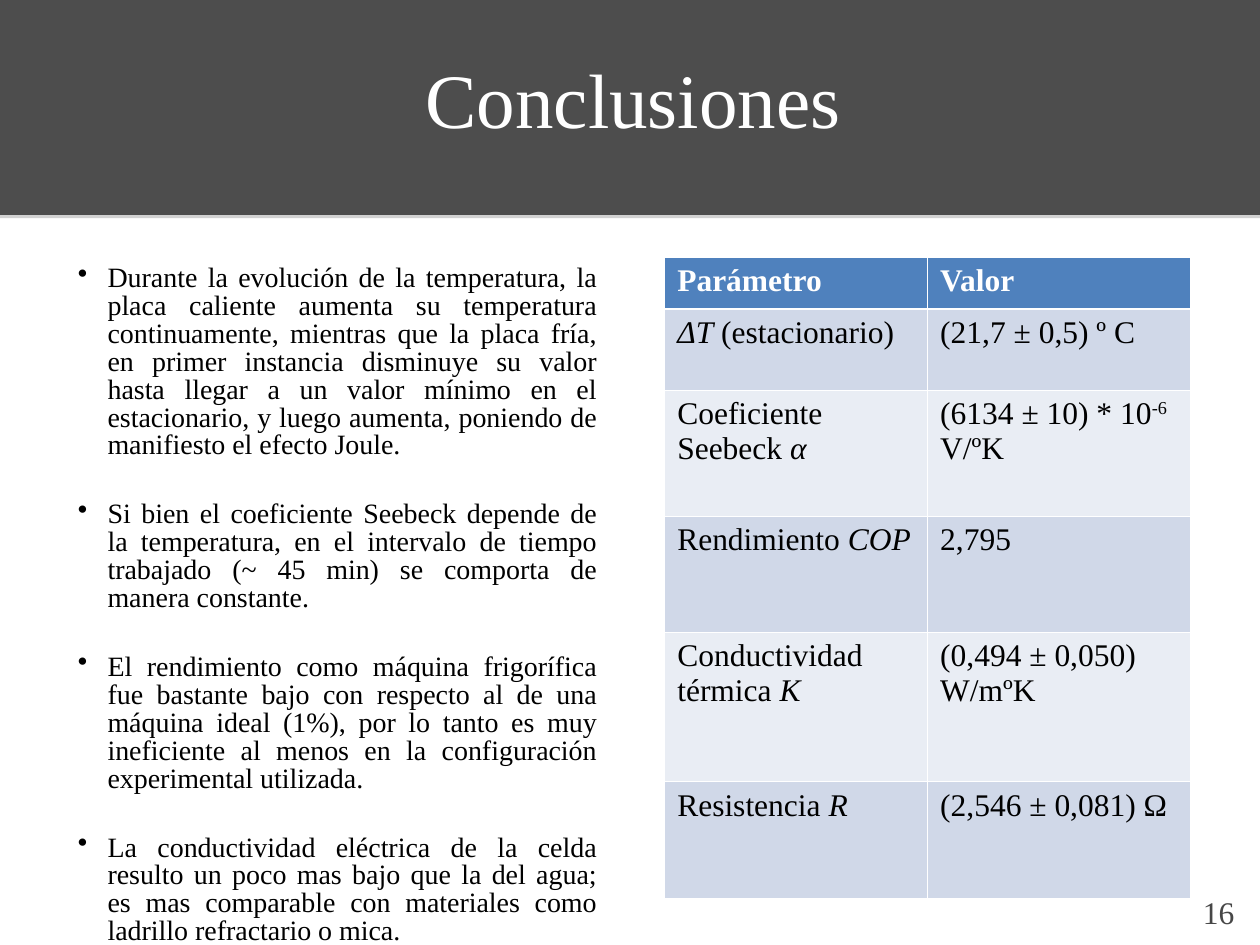
from lxml.etree import SubElement
from pptx import Presentation
from pptx.dml.color import RGBColor
from pptx.enum.shapes import MSO_SHAPE
from pptx.enum.text import MSO_ANCHOR, PP_ALIGN
from pptx.oxml.ns import qn
from pptx.util import Cm, Pt

FONT = "Times New Roman"
BULLETS = [
    "Durante la evolución de la temperatura, la placa caliente aumenta su temperatura continuamente, "
    "mientras que la placa fría, en primer instancia disminuye su valor hasta llegar a un valor mínimo "
    "en el estacionario, y luego aumenta, poniendo de manifiesto el efecto Joule.",
    "Si bien el coeficiente Seebeck depende de la temperatura, en el intervalo de tiempo trabajado "
    "(~ 45 min) se comporta de manera constante.",
    "El rendimiento como máquina frigorífica fue bastante bajo con respecto al de una máquina ideal (1%), "
    "por lo tanto es muy ineficiente al menos en la configuración experimental utilizada.",
    "La conductividad eléctrica de la celda resulto un poco mas bajo que la del agua; "
    "es mas comparable con materiales como ladrillo refractario o mica.",
]
ROWS = [
    (1.04, [("Parámetro", "")], [("Valor", "")]),
    (1.63, [("ΔT", "italic"), (" (estacionario)", "")], [("(21,7 ± 0,5) º C", "")]),
    (2.54, [("Coeficiente Seebeck ", ""), ("α", "italic")],
     [("(6134 ± 10) * 10", ""), ("-6 ", "super"), ("V/ºK", "")]),
    (2.34, [("Rendimiento ", ""), ("COP", "italic")], [("2,795", "")]),
    (3.02, [("Conductividad térmica ", ""), ("K", "italic")], [("(0,494 ± 0,050) W/mºK", "")]),
    (2.34, [("Resistencia ", ""), ("R", "italic")], [("(2,546 ± 0,081) Ω", "")]),
]
COLUMN_WIDTH = 5.3
HEADER_FILL, BAND_FILLS = "4F81BD", ("E9EDF4", "D0D8E8")


def color(value):
    """Turn a hex string into a colour."""
    return RGBColor.from_string(value)


def style(para, size, value, bold=False):
    """Set the font of a whole paragraph."""
    font = para.font
    font.name, font.size, font.bold = FONT, Pt(size), bold
    font.color.rgb = color(value)


def add_band(page):
    """Draw the dark title band with its thin shadow behind everything."""
    band = page.shapes.add_shape(MSO_SHAPE.RECTANGLE, 0, 0, Cm(25.4), Cm(4.32))
    band.fill.solid()
    band.fill.fore_color.rgb = color("4D4D4D")
    band.line.color.rgb = color("4D4D4D")
    band.line.width = Pt(0.75)
    band.shadow.inherit = False
    effects = band._element.spPr.find(qn("a:effectLst"))
    shadow = SubElement(effects, qn("a:outerShdw"), dist=str(Pt(1.8)), dir="5400000", rotWithShape="0")
    tint = SubElement(shadow, qn("a:srgbClr"), val="808080")
    SubElement(tint, qn("a:alpha"), val="35000")
    page.shapes._spTree.insert(2, band._element)


def add_title(page):
    """Place the title over the band."""
    title = page.shapes.title
    title.left, title.top, title.width, title.height = Cm(2.49), Cm(0.91), Cm(20.55), Cm(2.13)
    title.text_frame.text = "Conclusiones"
    title.text_frame.vertical_anchor = MSO_ANCHOR.TOP
    para = title.text_frame.paragraphs[0]
    para.alignment = PP_ALIGN.CENTER
    style(para, 44, "FFFFFF")


def add_bullets(page):
    """Write the justified conclusions on the left."""
    frame = page.shapes.add_textbox(Cm(1.32), Cm(4.39), Cm(10.97), Cm(14.53)).text_frame
    frame.word_wrap = True
    frame.margin_top = Cm(0.96)
    for index, text in enumerate(BULLETS):
        para = frame.add_paragraph() if index else frame.paragraphs[0]
        para.text = text
        para.alignment = PP_ALIGN.JUSTIFY
        para.line_spacing = 0.83
        para.space_before = Pt(23.5 if index else 0)
        style(para, 16, "000000")
        properties = para._p.get_or_add_pPr()
        properties.set("marL", str(Cm(0.6)))
        properties.set("indent", str(Cm(-0.6)))
        bullet = properties.makeelement(qn("a:buChar"), {"char": "•"})
        properties.insert_element_before(bullet, "a:tabLst", "a:defRPr", "a:extLst")


def add_borders(cell, widths):
    """Draw white borders round a cell, widths by side."""
    for side, width in widths.items():
        line = SubElement(cell._tc.get_or_add_tcPr(), qn(f"a:ln{side}"), w=str(Pt(width)))
        fill = SubElement(line, qn("a:solidFill"))
        SubElement(fill, qn("a:srgbClr"), val="FFFFFF")


def add_results(page):
    """Build the table of measured parameters."""
    height = sum(row[0] for row in ROWS)
    table = page.shapes.add_table(len(ROWS), 2, Cm(13.4), Cm(5.19), Cm(2 * COLUMN_WIDTH), Cm(height)).table
    table.first_row = table.horz_banding = False
    for index, (row_height, *cells) in enumerate(ROWS):
        table.rows[index].height = Cm(row_height)
        header = index == 0
        for column, runs in enumerate(cells):
            cell = table.cell(index, column)
            add_borders(cell, {"L": 0.45, "R": 0.45, "T": 1.47 if index == 1 else 0.45,
                               "B": 1.47 if header else 0.45})
            cell.fill.solid()
            cell.fill.fore_color.rgb = color(HEADER_FILL if header else BAND_FILLS[index % 2])
            para = cell.text_frame.paragraphs[0]
            style(para, 18, "FFFFFF" if header else "000000", bold=header)
            for text, look in runs:
                span = para.add_run()
                span.text = text
                if look == "italic":
                    span.font.italic = True
                elif look == "super":
                    span.font._element.set("baseline", "30000")


def add_page_number(page):
    """Write the page number in the lower right corner."""
    box = page.shapes.add_textbox(Cm(24), Cm(17.88), Cm(1.27), Cm(1.02))
    box.text_frame.word_wrap = True
    para = box.text_frame.paragraphs[0]
    para.text = "16"
    style(para, 18, "474747")


def main():
    """Build the slide and save the deck."""
    deck = Presentation()
    deck.slide_width, deck.slide_height = Cm(25.4), Cm(19.05)
    page = deck.slides.add_slide(deck.slide_layouts[5])
    add_band(page)
    add_title(page)
    add_bullets(page)
    add_page_number(page)
    add_results(page)
    deck.save("out.pptx")


if __name__ == "__main__":
    main()
